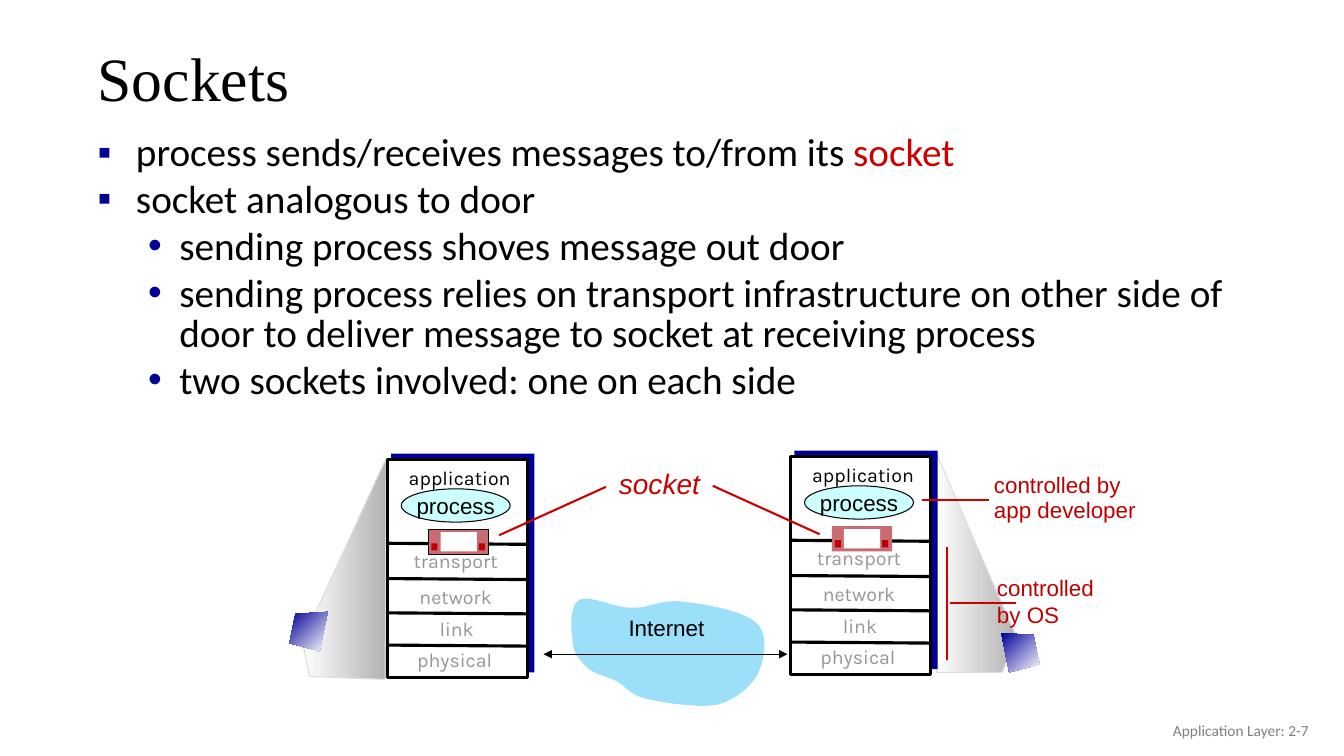
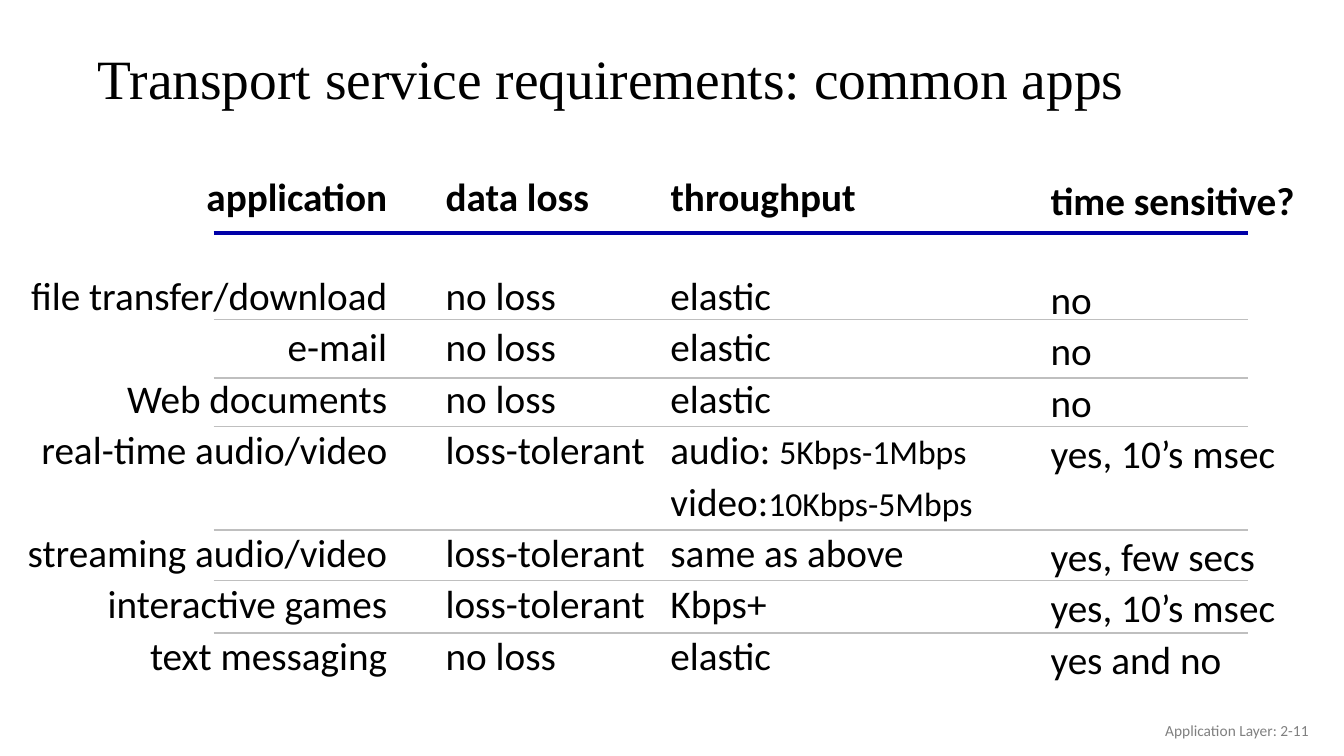
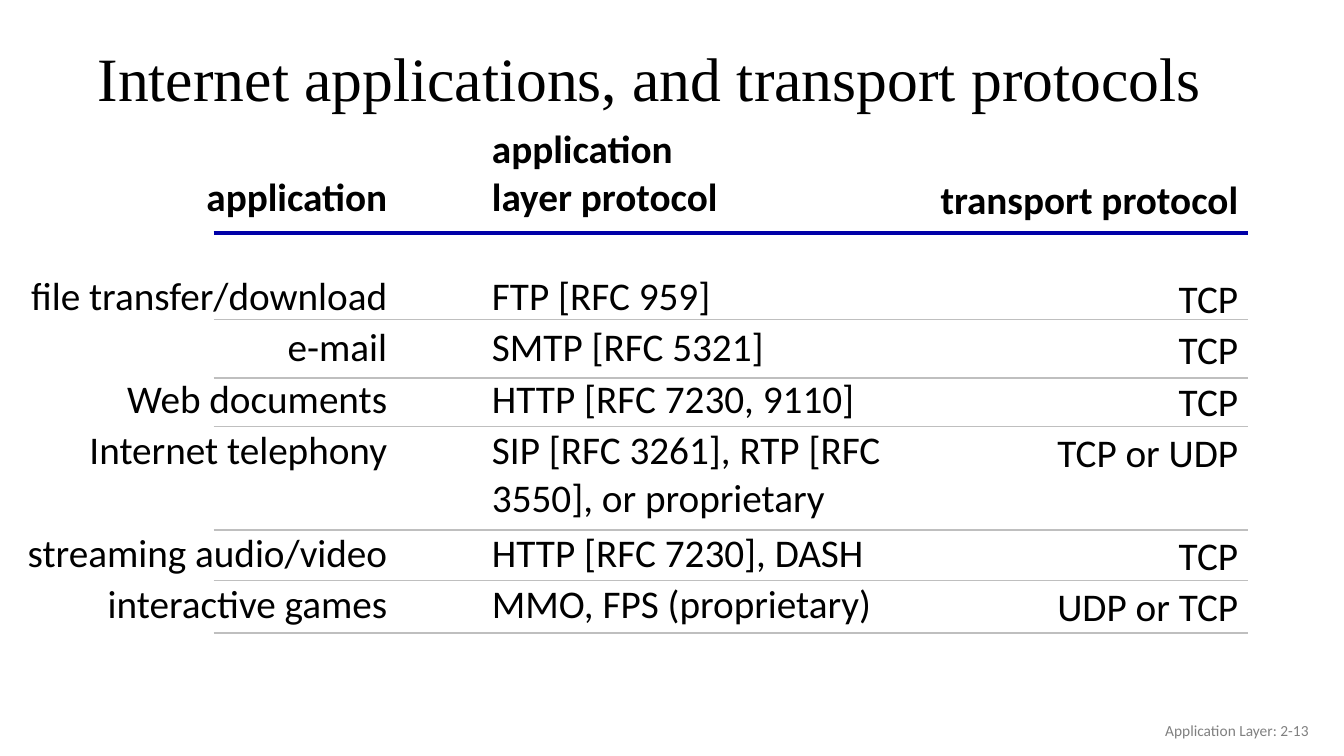
from lxml import etree
from pptx import Presentation
from pptx.dml.color import RGBColor
from pptx.enum.shapes import MSO_CONNECTOR, MSO_SHAPE
from pptx.enum.text import MSO_ANCHOR, PP_ALIGN
from pptx.oxml.ns import qn
from pptx.util import Inches, Pt

RECT, OVAL, LINE, TEXT = MSO_SHAPE.RECTANGLE, MSO_SHAPE.OVAL, "line", "text"
STRAIGHT = MSO_CONNECTOR.STRAIGHT
LEFT, CENTER, RIGHT = PP_ALIGN.LEFT, PP_ALIGN.CENTER, PP_ALIGN.RIGHT
TOP, MIDDLE, BOTTOM = MSO_ANCHOR.TOP, MSO_ANCHOR.MIDDLE, MSO_ANCHOR.BOTTOM

BLACK, WHITE, NAVY, RED, DARK_RED = "000000", "FFFFFF", "000099", "CC0000", "C00000"
GREY, FOOTER_GREY, RULE_BLUE, RULE_GREY = "969696", "808080", "0000A8", "BFBFBF"
rgb = RGBColor.from_string


def draw(s, kind, x, y, w=0, h=0, fill=None, line=None, width=0.75):
    """Add a shape, text box, line (w, h is its run) or outline (a list of points)."""
    box = [Inches(v) for v in (x, y, w, h)]
    if kind == TEXT:
        return s.shapes.add_textbox(*box)
    if kind == LINE:
        sp = s.shapes.add_connector(STRAIGHT, box[0], box[1], box[0] + box[2], box[1] + box[3])
    elif isinstance(kind, list):
        points = [(Inches(x + dx), Inches(y + dy)) for dx, dy in kind]
        builder = s.shapes.build_freeform(*points[0])
        builder.add_line_segments(points[1:], close=True)
        sp = builder.convert_to_shape()
    else:
        sp = s.shapes.add_shape(kind, *box)
    if isinstance(fill, tuple):
        sp.fill.gradient()
        sp.fill.gradient_angle = fill[2]
        for stop, color in zip(sp.fill.gradient_stops, fill):
            stop.color.rgb = rgb(color)
    elif fill:
        sp.fill.solid()
        sp.fill.fore_color.rgb = rgb(fill)
    if line:
        sp.line.color.rgb = rgb(line)
        sp.line.width = Pt(width)
    else:
        sp.line.fill.background()
    etree.SubElement(sp.element.spPr, qn("a:effectLst"))
    return sp


def write(tf, lines, size=28, font="Calibri", color=BLACK, bold=False, italic=False,
          align=LEFT, spacing=1.0, gap=0, anchor=TOP):
    """Fill a text frame; a line is a string or a list of (text, changed font values)."""
    tf.word_wrap = True
    tf.vertical_anchor = anchor
    for i, line in enumerate(lines):
        p = tf.add_paragraph() if i else tf.paragraphs[0]
        p.alignment, p.line_spacing = align, spacing
        p.space_before = Pt(gap if i else 0)
        for text, change in [(line, {})] if isinstance(line, str) else line:
            r = p.add_run()
            r.text = text
            look = dict(size=Pt(size), name=font, bold=bold, italic=italic)
            for key, value in look.items():
                setattr(r.font, key, value)
            r.font.size = Pt(change.get("size", size))
            r.font.color.rgb = rgb(change.get("color", color))


prs = Presentation()
prs.slide_width, prs.slide_height = Inches(13.33), Inches(7.5)

slides = []
for title, size, number in [
    ("Sockets", 44, 7),
    ("Transport service requirements: common apps", 39.6, 11),
    ("Internet applications, and transport protocols", 44, 13),
]:
    s = prs.slides.add_slide(prs.slide_layouts[6])
    write(draw(s, TEXT, 0.87, 0.32, 11.5, 0.98).text_frame, [title], size=size,
          font="Times New Roman", spacing=0.9, anchor=MIDDLE)
    write(draw(s, TEXT, 10.08, 7.05, 3, 0.4).text_frame, [f"Application Layer: 2-{number}"],
          size=11, color=FOOTER_GREY, align=RIGHT, anchor=MIDDLE)
    slides.append(s)

# Sockets: bullets
s = slides[0]
bullets = [
    (0, [("process sends/receives messages to/from its ", {}), ("socket", {"color": RED})]),
    (0, "socket analogous to door"),
    (1, "sending process shoves message out door"),
    (1, "sending process relies on transport infrastructure on other side of door "
        "to deliver message to socket at receiving process"),
    (1, "two sockets involved: one on each side"),
]
levels = [("▪", 0.38, 0.38), ("•", 0.81, 0.31)]
tf = draw(s, TEXT, 0.87, 1.29, 11.99, 2.55).text_frame
write(tf, [line for _, line in bullets], spacing=0.85, gap=5)
for p, (level, _) in zip(tf.paragraphs, bullets):
    char, margin, hang = levels[level]
    p.level = level
    pPr = p._p.get_or_add_pPr()
    pPr.set("marL", str(Inches(margin)))
    pPr.set("indent", str(-Inches(hang)))
    etree.SubElement(etree.SubElement(pPr, qn("a:buClr")), qn("a:srgbClr"), val=NAVY)
    etree.SubElement(pPr, qn("a:buFont"), typeface="Arial")
    etree.SubElement(pPr, qn("a:buChar"), char=char)

# Sockets: beams, cloud and network link
beam = (WHITE, "B2B2B2", 0)
draw(s, [(0.8, 1.84), (0, 0), (0.01, 2.19), (0.66, 2.19)], 9.28, 4.48, fill=beam, line="DDDDDD")
draw(s, [(0, 1.81), (0.83, 0), (0.82, 2.19), (0.07, 2.16)], 3, 4.55, fill=beam, line="DDDDDD")

cloud_start = (5.68, 6.34)
cloud_curves = [
    ((5.66, 6.23), (5.65, 6), (5.75, 5.95)),
    ((5.85, 5.9), (6.09, 6.03), (6.26, 6.03)),
    ((6.43, 6.04), (6.56, 5.94), (6.77, 5.97)),
    ((6.98, 5.99), (7.38, 6.06), (7.5, 6.18)),
    ((7.63, 6.29), (7.58, 6.54), (7.52, 6.68)),
    ((7.45, 6.81), (7.3, 6.94), (7.12, 6.99)),
    ((6.93, 7.03), (6.57, 6.97), (6.4, 6.93)),
    ((6.24, 6.89), (6.21, 6.81), (6.12, 6.76)),
    ((6.02, 6.71), (5.89, 6.69), (5.82, 6.62)),
    ((5.75, 6.55), (5.67, 6.46), cloud_start),
]
STEPS = 10
cloud = [cloud_start]
for b, c, d in cloud_curves:
    a = cloud[-1]
    for t in [i / STEPS for i in range(1, STEPS + 1)]:
        u = 1 - t
        cloud.append(tuple(u**3 * a[k] + 3 * u * u * t * b[k] + 3 * u * t * t * c[k] + t**3 * d[k]
                           for k in (0, 1)))
draw(s, cloud, 0, 0, fill="9CDFF9")
link = draw(s, LINE, 5.39, 6.49, 2.42, 0, line=BLACK)
for end in ("a:headEnd", "a:tailEnd"):
    etree.SubElement(link.element.spPr.find(qn("a:ln")), qn(end), type="triangle")

# Sockets: the two hosts, placed from the corner of their layer stack
layers = [("application", 0, -0.01, BLACK), ("transport", -0.04, 0.81, GREY),
          ("network", -0.04, 1.17, GREY), ("link", -0.03, 1.49, GREY),
          ("physical", -0.05, 1.8, GREY)]
for x, y, door_line in [(3.84, 4.56, BLACK), (7.84, 4.53, None)]:
    draw(s, RECT, x + 0.04, y - 0.06, 1.42, 2.17, fill=NAVY)
    draw(s, RECT, x, y, 1.39, 2.16, fill=WHITE, line=BLACK, width=2.25)
    for dy in (0.83, 1.18, 1.52, 1.84):
        draw(s, LINE, x, y + dy, 1.39, 0.01, line=BLACK, width=2.25)
    for name, dx, dy, color in layers:
        write(draw(s, TEXT, x + dx, y + dy, 1.44, 0.36).text_frame, [name], size=14,
              font="Karla", color=color, align=CENTER, spacing=1.1)
    tf = draw(s, OVAL, x + 0.14, y + 0.29, 1.08, 0.33, fill="CCFFFF", line=BLACK).text_frame
    write(tf, ["process"], size=16, font="Arial", align=CENTER, anchor=MIDDLE)
    tf.word_wrap = False
    tf.margin_left = tf.margin_right = tf.margin_top = tf.margin_bottom = 0
    draw(s, RECT, x + 0.41, y + 0.69, 0.6, 0.25, fill="C96B72", line=door_line)
    draw(s, RECT, x + 0.53, y + 0.72, 0.36, 0.19, fill=WHITE)
    for dx in (0.44, 0.91):
        draw(s, RECT, x + dx, y + 0.83, 0.06, 0.07, fill=DARK_RED)

# Sockets: labels, pointers and laptops
for lines, x, y, w, look in [
    (["Internet"], 6.03, 6.04, 1.16, dict(size=16, align=CENTER)),
    (["controlled", "by OS"], 9.79, 5.65, 1.4, dict(size=16, color=DARK_RED)),
    (["controlled by", "app developer"], 9.76, 4.66, 1.8,
     dict(size=16, color=DARK_RED, spacing=0.9)),
    (["socket"], 6.04, 4.62, 1.2, dict(size=20, color=RED, italic=True, spacing=0.9)),
]:
    write(draw(s, TEXT, x, y, w, 0.4 * len(lines)).text_frame, lines, font="Arial", **look)
for x, y, w, h in [(9.14, 4.96, 0.67, 0), (9.39, 5.43, 0, 1.12), (9.42, 5.98, 0.66, 0),
                   (4.95, 5.31, 1.06, -0.48), (8.13, 5.3, -1.06, -0.48)]:
    draw(s, LINE, x, y, w, h, line=RED, width=1.5)
laptop = [(0, 0), (0.32, 0.02), (0.38, 0.31), (0.08, 0.39)]
mirrored = [(0.38 - dx, dy) for dx, dy in laptop]
for outline, x, y in [(mirrored, 2.87, 6.07), (laptop, 9.93, 6.28)]:
    draw(s, outline, x, y, fill=(NAVY, WHITE, 315))

# Tables: a column is (width, left margin, drop of its text, alignment)
small = {"size": 24}
requirements = [
    ["application", "data loss", "throughput", "time sensitive?"],
    ["file transfer/download", "no loss", "elastic", "no"],
    ["e-mail", "no loss", "elastic", "no"],
    ["Web documents", "no loss", "elastic", "no"],
    ["real-time audio/video", "loss-tolerant",
     [[("audio: ", {}), ("5Kbps-1Mbps", small)], [("video:", {}), ("10Kbps-5Mbps", small)]],
     "yes, 10’s msec"],
    ["streaming audio/video", "loss-tolerant", "same as above", "yes, few secs"],
    ["interactive games", "loss-tolerant", "Kbps+", "yes, 10’s msec"],
    ["text messaging", "no loss", "elastic", "yes and no"],
]
protocols = [
    ["application", ["application", "layer protocol"], "transport protocol"],
    ["file transfer/download", "FTP [RFC 959]", "TCP"],
    ["e-mail", "SMTP [RFC 5321]", "TCP"],
    ["Web documents", "HTTP [RFC 7230, 9110]", "TCP"],
    ["Internet telephony", "SIP [RFC 3261], RTP [RFC 3550], or proprietary", "TCP or UDP"],
    ["streaming audio/video", "HTTP [RFC 7230], DASH", "TCP"],
    ["interactive games", "MMO, FPS (proprietary)", "UDP or TCP"],
]
first_column = (3.64, 0, 0, RIGHT)
requirement_columns = [first_column, (2.81, 0.58, 0, LEFT), (3.77, 0, 0, LEFT),
                       (2.78, 0, 0.04, LEFT)]
protocol_columns = [first_column, (5.24, 1.04, 0, LEFT), (3.2, 0, 0.03, RIGHT)]
HEADER, ROW, HEADER_GAP, TALL_ROW = 1.46, 0.51, 0.51, 4
rules = [(2.31, RULE_BLUE, 2.5)] + [(y, RULE_GREY, 1.25)
                                    for y in (3.17, 3.75, 4.23, 5.26, 5.76, 6.28)]

for s, rows, columns in [(slides[1], requirements, requirement_columns),
                         (slides[2], protocols, protocol_columns)]:
    heights = [HEADER] + [ROW] * (len(rows) - 1)
    heights[TALL_ROW] = 2 * ROW
    table = s.shapes.add_table(len(rows), len(columns), Inches(0.2), Inches(1.25),
                               Inches(sum(c[0] for c in columns)), Inches(sum(heights))).table
    table.first_row = table.horz_banding = False
    for i, height in enumerate(heights):
        table.rows[i].height = Inches(height)
    for j, (width, indent, drop, align) in enumerate(columns):
        table.columns[j].width = Inches(width)
        for i, row in enumerate(rows):
            header = i == 0
            cell = table.cell(i, j)
            cell.fill.background()
            cell.margin_left, cell.margin_right = Inches(indent), 0
            cell.margin_top = 0 if header else Inches(drop)
            cell.margin_bottom = Inches(HEADER_GAP - drop) if header else 0
            cell.vertical_anchor = BOTTOM if header else TOP
            lines = [row[j]] if isinstance(row[j], str) else row[j]
            write(cell.text_frame, lines, bold=header, align=align, gap=0 if header else 3)
    for y, color, width in rules:
        draw(s, LINE, 2.12, y, 10.26, 0, line=color, width=width)

prs.save("out.pptx")
